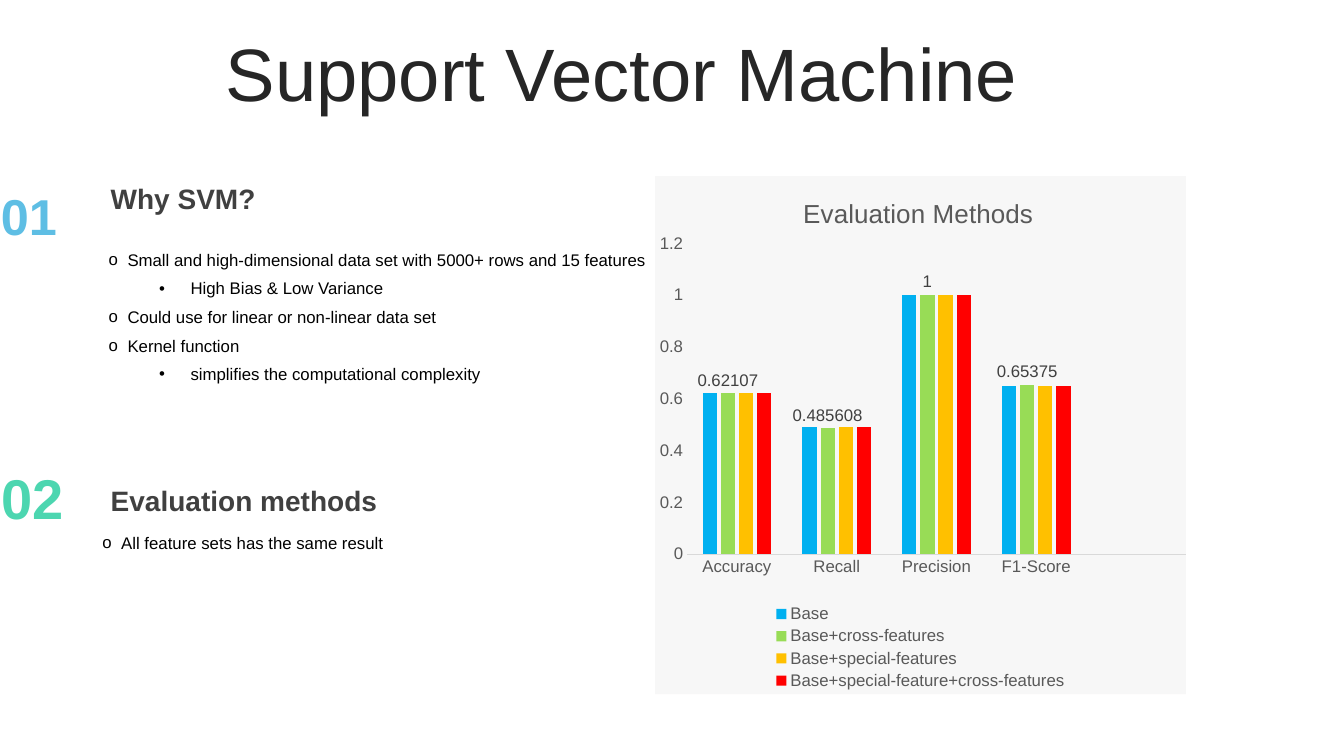
from lxml import etree
from pptx import Presentation
from pptx import util as u
from pptx.chart import data as chart_data
from pptx.dml.color import RGBColor
from pptx.enum import chart as ch, text as tx
from pptx.oxml import parse_xml
from pptx.oxml.ns import nsdecls, qn

Pt = u.Pt
FONT = "Arial"
BLACK = RGBColor(0, 0, 0)
TITLE_INK = RGBColor(0x26, 0x26, 0x26)
HEADING_INK = RGBColor(0x40, 0x40, 0x40)
CHART_INK = RGBColor(0x59, 0x59, 0x59)
AXIS_GREY = RGBColor(0xD9, 0xD9, 0xD9)
PANEL_GREY = RGBColor(0xD0, 0xCE, 0xCE)
BLUE = RGBColor(0x5E, 0xBE, 0xE4)
MINT = RGBColor(0x4C, 0xD6, 0xB0)

METRICS = ["Accuracy", "Recall", "Precision", "F1-Score", ""]
ROUNDED_SCORES = [0.62, 0.49, 1, 0.65, None]
LABELLED_SCORES = [0.62107, 0.485608, 1, 0.65375, None]
FEATURE_SETS = {
    "Base": RGBColor(0x00, 0xB0, 0xF0),
    "Base+cross-features": RGBColor(0x98, 0xDC, 0x56),
    "Base+special-features": RGBColor(0xFF, 0xC0, 0x00),
    "Base+special-feature+cross-features": RGBColor(0xFF, 0x00, 0x00),
}
LABELLED_SET = "Base+cross-features"
BULLETS = [("o", 13.5, -13.5), ("•", 58.5, -22.5)]
REASONS = [
    (0, "Small and high-dimensional data set with 5000+ rows and 15 features"),
    (1, "High Bias & Low Variance"),
    (0, "Could use for linear or non-linear data set"),
    (0, "Kernel function"),
    (1, "simplifies the computational complexity"),
]
RESULTS = [(0, "All feature sets has the same result")]


def style(font, size, ink, bold=False):
    font.name = FONT
    font.size = Pt(size)
    font.bold = bold
    font.color.rgb = ink


def add_frame(slide, box):
    frame = slide.shapes.add_textbox(*map(Pt, box)).text_frame
    frame.word_wrap = True
    return frame


def add_run(paragraph, words, size, ink, bold=False):
    run = paragraph.add_run()
    run.text = words
    style(run.font, size, ink, bold)


def add_line(slide, box, words, size, ink, bold=True, align=tx.PP_ALIGN.LEFT):
    frame = add_frame(slide, box)
    line = frame.paragraphs[0]
    line.alignment = align
    add_run(line, words, size, ink, bold)
    return frame


def add_title(slide, box):
    frame = add_line(slide, box, "Support Vector Machine", 53, TITLE_INK, False, tx.PP_ALIGN.CENTER)
    frame.vertical_anchor = tx.MSO_ANCHOR.MIDDLE
    frame.paragraphs[0].line_spacing = 0.9


def add_bullets(slide, box, points):
    frame = add_frame(slide, box)
    for index, (level, words) in enumerate(points):
        point = frame.add_paragraph() if index else frame.paragraphs[0]
        mark, margin, indent = BULLETS[level]
        point.level = level
        properties = point._p.get_or_add_pPr()
        properties.set("marL", str(Pt(margin)))
        properties.set("indent", str(Pt(indent)))
        etree.SubElement(properties, qn("a:buFont")).set("typeface", FONT)
        etree.SubElement(properties, qn("a:buChar")).set("char", mark)
        if index:
            point.space_before = Pt(6)
        add_run(point, words, 12, BLACK)


def add_topic(slide, box, number, number_box, number_size, number_ink, align, heading, list_offset, points):
    left, top, width, height = box
    x, y, number_width, number_height = number_box
    list_x, list_y = list_offset
    add_line(slide, (left + x, top + y, number_width, number_height),
             number, number_size, number_ink, align=align)
    add_line(slide, (left, top, width, 31.5), heading, 20, HEADING_INK)
    add_bullets(slide, (left + list_x, top + list_y, 435.5, height - list_y), points)


def set_layout(element, x, y, width=None, height=None, inner=False):
    for old in element.findall(qn("c:layout")):
        element.remove(old)
    parts = '<c:layoutTarget val="inner"/>' if inner else ""
    parts += '<c:xMode val="edge"/><c:yMode val="edge"/>'
    for tag, value in zip("xywh", (x, y, width, height)):
        if value is not None:
            parts += f'<c:{tag} val="{value}"/>'
    layout = parse_xml(f'<c:layout {nsdecls("c")}><c:manualLayout>{parts}</c:manualLayout></c:layout>')
    leader = next((c for c in element if c.tag in (qn("c:tx"), qn("c:legendPos"))), None)
    if leader is None:
        element.insert(0, layout)
    else:
        leader.addnext(layout)


def add_panel_fill(chart):
    fill = parse_xml(
        f'<c:spPr {nsdecls("c", "a")}><a:solidFill><a:srgbClr val="{PANEL_GREY}">'
        '<a:alpha val="15000"/></a:srgbClr></a:solidFill><a:ln><a:noFill/></a:ln></c:spPr>')
    chart._chartSpace.chart.addnext(fill)


def format_axes(chart):
    for axis in (chart.category_axis, chart.value_axis):
        axis.has_major_gridlines = False
        axis.major_tick_mark = axis.minor_tick_mark = ch.XL_TICK_MARK.NONE
        style(axis.tick_labels.font, 12, CHART_INK)
    chart.category_axis.format.line.color.rgb = AXIS_GREY
    chart.category_axis.format.line.width = Pt(0.75)
    scores = chart.value_axis
    scores.format.line.fill.background()
    scores.minimum_scale, scores.maximum_scale, scores.major_unit = 0, 1.2, 0.2
    scores.tick_labels.number_format = "General"
    scores.tick_labels.number_format_is_linked = False


def format_bars(plot):
    plot.gap_width, plot.overlap = 219, -27
    plot.vary_by_categories = False
    for bars in plot.series:
        bars.format.fill.solid()
        bars.format.fill.fore_color.rgb = FEATURE_SETS[bars.name]
        bars.invert_if_negative = False
        if bars.name == LABELLED_SET:
            labels = bars.data_labels
            labels.show_value = True
            labels.position = ch.XL_LABEL_POSITION.OUTSIDE_END
            style(labels.font, 12, HEADING_INK)


def add_score_chart(slide, box):
    scores = chart_data.CategoryChartData()
    scores.categories = METRICS
    for feature_set in FEATURE_SETS:
        scores.add_series(feature_set, LABELLED_SCORES if feature_set == LABELLED_SET else ROUNDED_SCORES)
    chart = slide.shapes.add_chart(ch.XL_CHART_TYPE.COLUMN_CLUSTERED, *map(Pt, box), scores).chart
    style(chart.font, 10, BLACK)
    chart.has_title = True
    add_run(chart.chart_title.text_frame.paragraphs[0], "Evaluation Methods", 18.6, CHART_INK)
    chart.chart_title.include_in_layout = False
    set_layout(chart.chart_title._element, 0.27, 0.03)
    chart.has_legend = True
    chart.legend.position = ch.XL_LEGEND_POSITION.BOTTOM
    chart.legend.include_in_layout = False
    style(chart.legend.font, 12, CHART_INK)
    set_layout(chart.legend._element, 0.21, 0.82, 0.58, 0.18)
    set_layout(chart._chartSpace.chart.plotArea, 0.06, 0.13, 0.94, 0.6, inner=True)
    format_axes(chart)
    format_bars(chart.plots[0])
    add_panel_fill(chart)


def main():
    deck = Presentation()
    deck.slide_width, deck.slide_height = Pt(960), Pt(540)
    slide = deck.slides.add_slide(deck.slide_layouts[6])
    add_title(slide, (52.5, 27.5, 783.5, 55.5))
    add_topic(slide, (72, 125.75, 415, 153.5), "01", (-78.5, 3, 72, 51), 36, BLUE,
              tx.PP_ALIGN.LEFT, "Why SVM?", (-1.5, 49), REASONS)
    add_topic(slide, (72, 342, 231, 56), "02", (-78.5, -14.5, 60, 55.5), 40, MINT,
              tx.PP_ALIGN.CENTER, "Evaluation methods", (-6, 35), RESULTS)
    add_score_chart(slide, (468, 125.75, 379.5, 370))
    deck.save("out.pptx")


if __name__ == "__main__":
    main()
